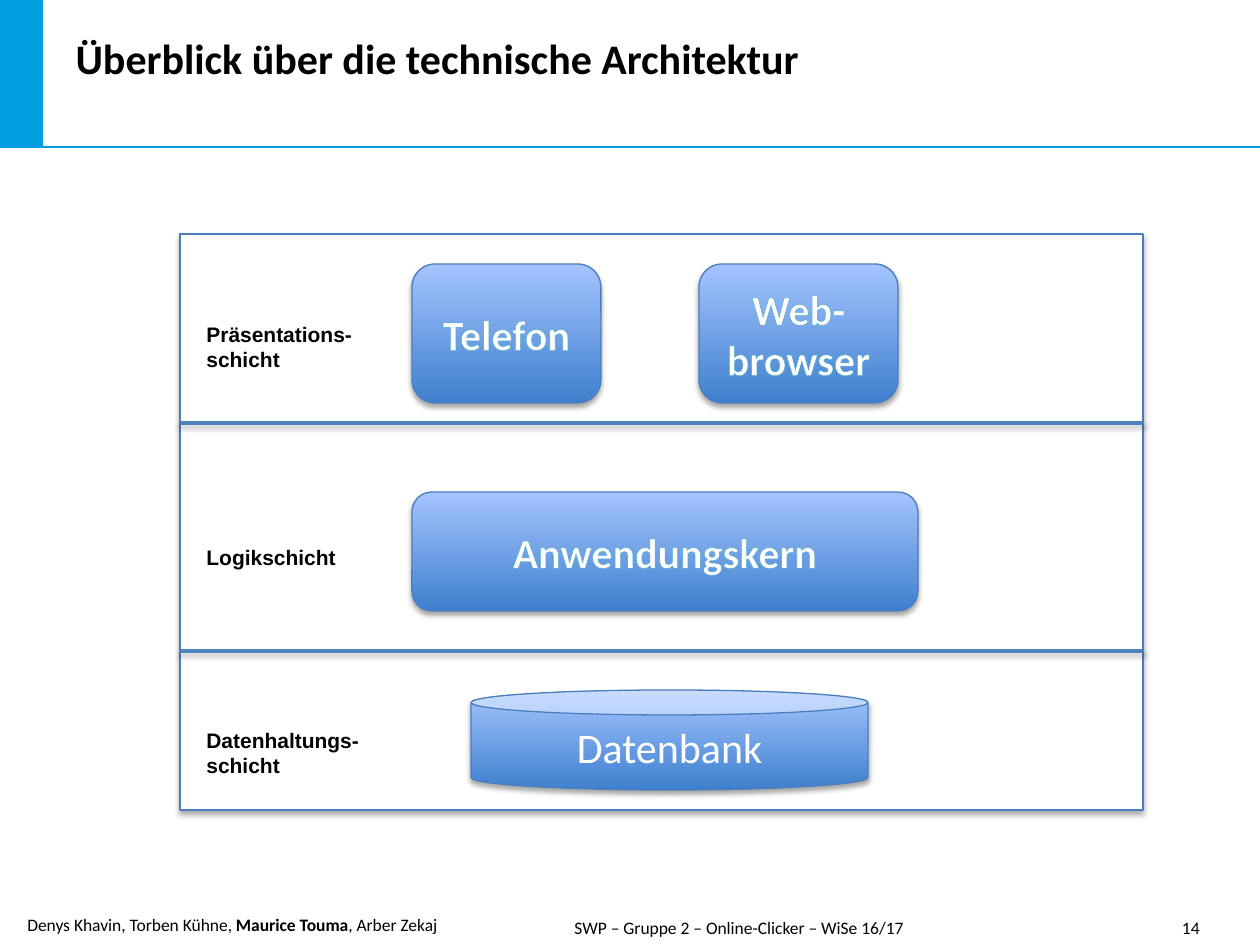
from dataclasses import dataclass

from lxml.etree import SubElement
from pptx import Presentation
from pptx.dml.color import RGBColor
from pptx.enum.shapes import MSO_CONNECTOR as Connector, MSO_SHAPE as Preset
from pptx.enum.text import MSO_ANCHOR as Anchor, MSO_AUTO_SIZE as AutoSize, PP_ALIGN as Align
from pptx.oxml.ns import qn
from pptx.util import Emu, Pt

PX = 914400 / 126
COLORS = {
    "accent": "009FE2",
    "text": "000000",
    "white": "FFFFFF",
    "border": "4B7EBC",
    "divider": "4F81BD",
    "dark": "3F80CE",
    "light": "A4C4FF",
    "outline": "4BACC6",
}


@dataclass
class Box:
    left: int
    top: int
    width: int
    height: int


@dataclass
class Component:
    text: str
    box: Box
    preset: Preset = Preset.ROUNDED_RECTANGLE
    bold: bool = True


@dataclass
class Label:
    lines: list[str]
    box: Box


FRAME = Box(180, 234, 963, 576)
DIVIDERS = [423, 651]
COMPONENTS = [
    Component("Datenbank", Box(471, 690, 397, 100), Preset.CAN, False),
    Component("Anwendungskern", Box(412, 492, 506, 119)),
    Component("Telefon", Box(412, 264, 189, 139)),
    Component("Web-browser", Box(699, 264, 199, 139)),
]
LABELS = [
    Label(["Präsentations-", "schicht"], Box(194, 315, 192, 63)),
    Label(["Logikschicht"], Box(194, 538, 169, 38)),
    Label(["Datenhaltungs- schicht"], Box(194, 721, 189, 63)),
]


def px(value: int) -> Emu:
    return Emu(round(value * PX))


def bounds(box: Box) -> tuple[Emu, Emu, Emu, Emu]:
    return px(box.left), px(box.top), px(box.width), px(box.height)


def color(name: str) -> RGBColor:
    return RGBColor.from_string(COLORS[name])


def add_color(parent, name: str):
    fill = SubElement(parent, qn("a:solidFill"))
    return SubElement(fill, qn("a:srgbClr"), val=COLORS[name])


def add_shadow(effects, distance: float, opacity: int) -> None:
    shadow = SubElement(
        effects, qn("a:outerShdw"), blurRad=str(Pt(3.1)), dist=str(Pt(distance)),
        dir="5400000", rotWithShape="0",
    )
    tint = SubElement(shadow, qn("a:srgbClr"), val=COLORS["text"])
    SubElement(tint, qn("a:alpha"), val=str(opacity * 1000))


def write(shape, lines, *, size=10, font="Calibri", tone="text", bold=False,
          align=Align.LEFT, anchor=Anchor.TOP, after=0, outline=False) -> None:
    frame = shape.text_frame
    frame.word_wrap = True
    frame.auto_size = AutoSize.NONE
    frame.vertical_anchor = anchor
    for index, runs in enumerate(lines):
        paragraph = frame.add_paragraph() if index else frame.paragraphs[0]
        paragraph.alignment = align
        paragraph.space_before = Pt(0)
        paragraph.space_after = Pt(after)
        for text, strong in [(runs, bold)] if isinstance(runs, str) else runs:
            run = paragraph.add_run()
            run.text = text
            run.font.name = font
            run.font.size = Pt(size)
            run.font.bold = strong
            run.font.color.rgb = color(tone)
            if outline:
                properties = run.font.fill and run._r.get_or_add_rPr()
                line = SubElement(properties, qn("a:ln"), w=str(Pt(0.8)))
                add_color(line, "outline")
                properties.insert(0, line)


def add_text(slide, box: Box, lines, **style) -> None:
    write(slide.shapes.add_textbox(*bounds(box)), lines, **style)


def add_line(slide, left: int, right: int, y: int, tone: str, width: float, shadow=False) -> None:
    line = slide.shapes.add_connector(Connector.STRAIGHT, px(left), px(y), px(right), px(y))
    line.line.color.rgb = color(tone)
    line.line.width = Pt(width)
    effects = SubElement(line.element.find(qn("p:spPr")), qn("a:effectLst"))
    if shadow:
        add_shadow(effects, 1.6, 38)


def add_panel(slide, preset: Preset, box: Box, fill: str = "", bordered=True):
    shape = slide.shapes.add_shape(preset, *bounds(box))
    shape.shadow.inherit = False
    if fill:
        shape.fill.solid()
        shape.fill.fore_color.rgb = color(fill)
    else:
        shape.fill.gradient()
        shape.fill.gradient_angle = 90
        for stop, tone in zip(shape.fill.gradient_stops, ("dark", "light")):
            stop.color.rgb = color(tone)
    if bordered:
        shape.line.color.rgb = color("border")
        shape.line.width = Pt(0.75)
        add_shadow(shape.element.find(qn("p:spPr")).find(qn("a:effectLst")), 1.8, 35)
    else:
        shape.line.fill.background()
    return shape


def add_header_and_footer(slide) -> None:
    add_panel(slide, Preset.RECTANGLE, Box(0, 0, 43, 147), "accent", bordered=False)
    add_line(slide, 0, 1260, 147, "accent", 1.2)
    title = slide.shapes.title
    title.left, title.top, title.width, title.height = bounds(Box(63, 26, 874, 106))
    write(title, ["Überblick über die technische Architektur"], size=24, bold=True, after=6)
    authors = [
        ("Denys Khavin, Torben Kühne, ", False),
        ("Maurice Touma", True),
        (", Arber Zekaj", False),
    ]
    add_text(slide, Box(15, 908, 476, 34), [authors])
    add_text(slide, Box(512, 911, 454, 34), ["SWP – Gruppe 2 – Online-Clicker – WiSe 16/17"],
             align=Align.CENTER)
    add_text(slide, Box(1145, 911, 67, 32), ["14"], align=Align.RIGHT, anchor=Anchor.MIDDLE)


def add_architecture(slide) -> None:
    add_panel(slide, Preset.RECTANGLE, FRAME, "white")
    for y in DIVIDERS:
        add_line(slide, FRAME.left, FRAME.left + FRAME.width, y, "divider", 2, shadow=True)
    for component in COMPONENTS:
        shape = add_panel(slide, component.preset, component.box)
        write(shape, [component.text], size=24, tone="white", bold=component.bold,
              align=Align.CENTER, anchor=Anchor.MIDDLE, outline=component.bold)
    for label in LABELS:
        add_text(slide, label.box, label.lines, size=12, font="Arial", bold=True)


def main() -> None:
    presentation = Presentation()
    presentation.slide_width = px(1260)
    presentation.slide_height = px(945)
    slide = presentation.slides.add_slide(presentation.slide_layouts[5])
    add_header_and_footer(slide)
    add_architecture(slide)
    presentation.save("out.pptx")


if __name__ == "__main__":
    main()
